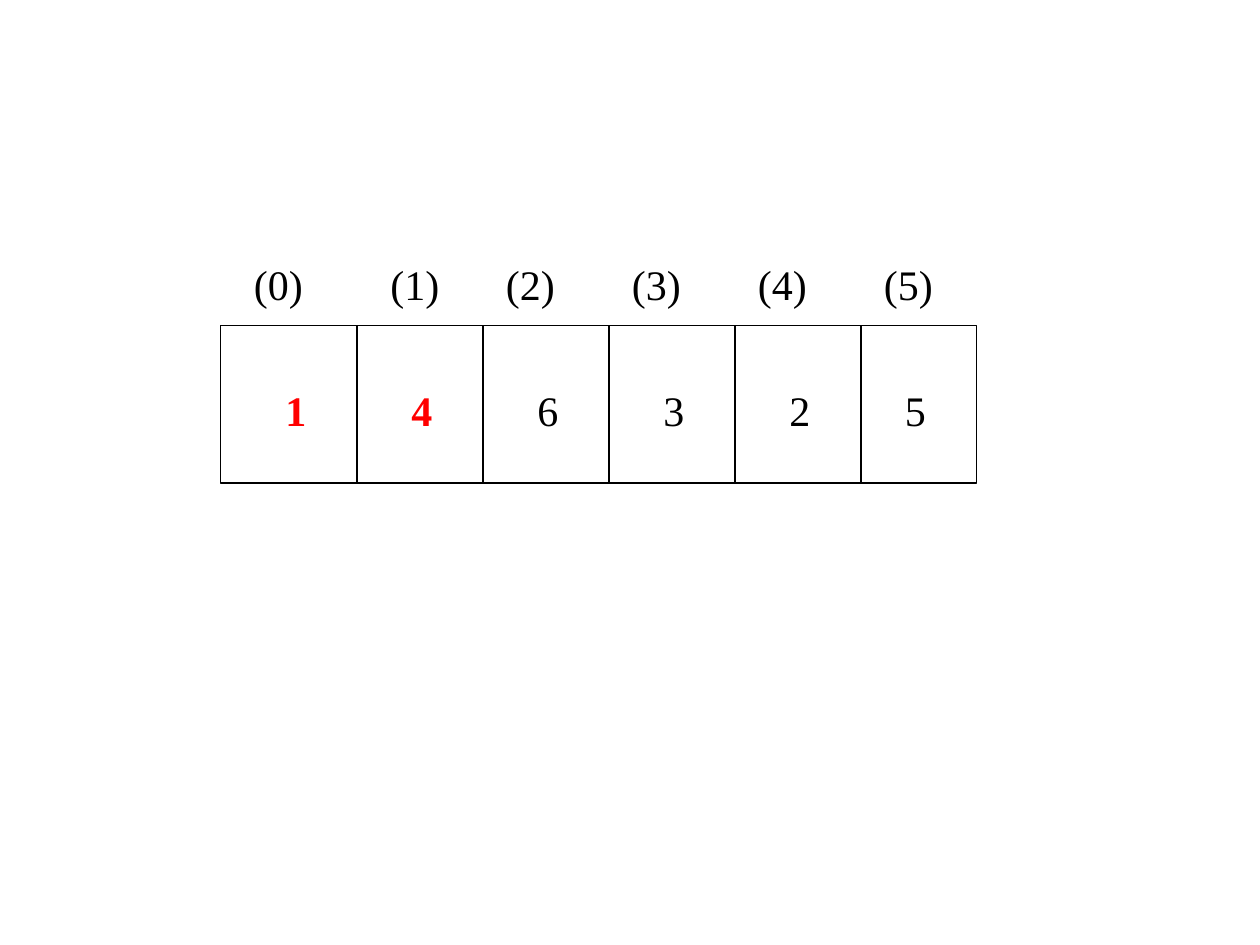
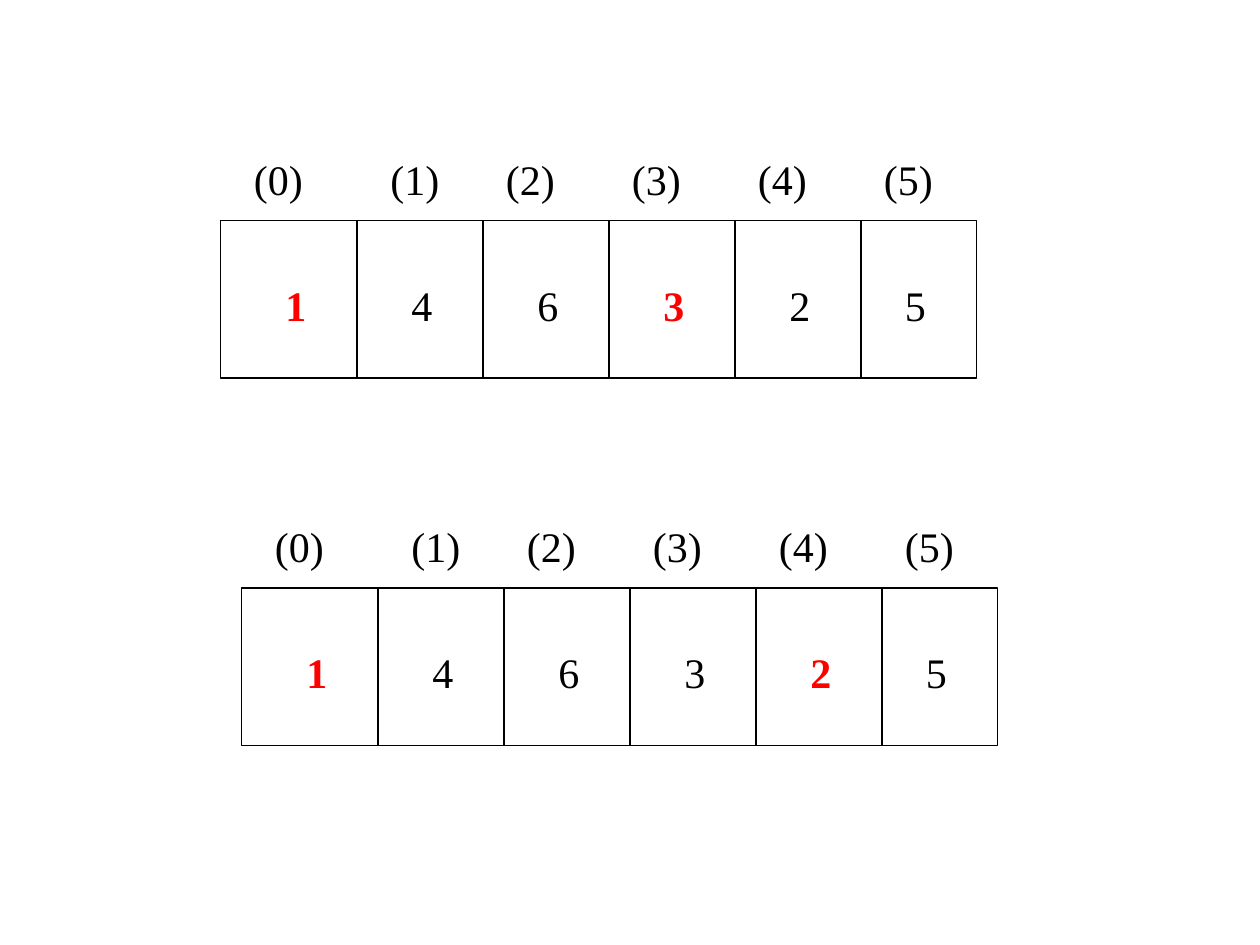
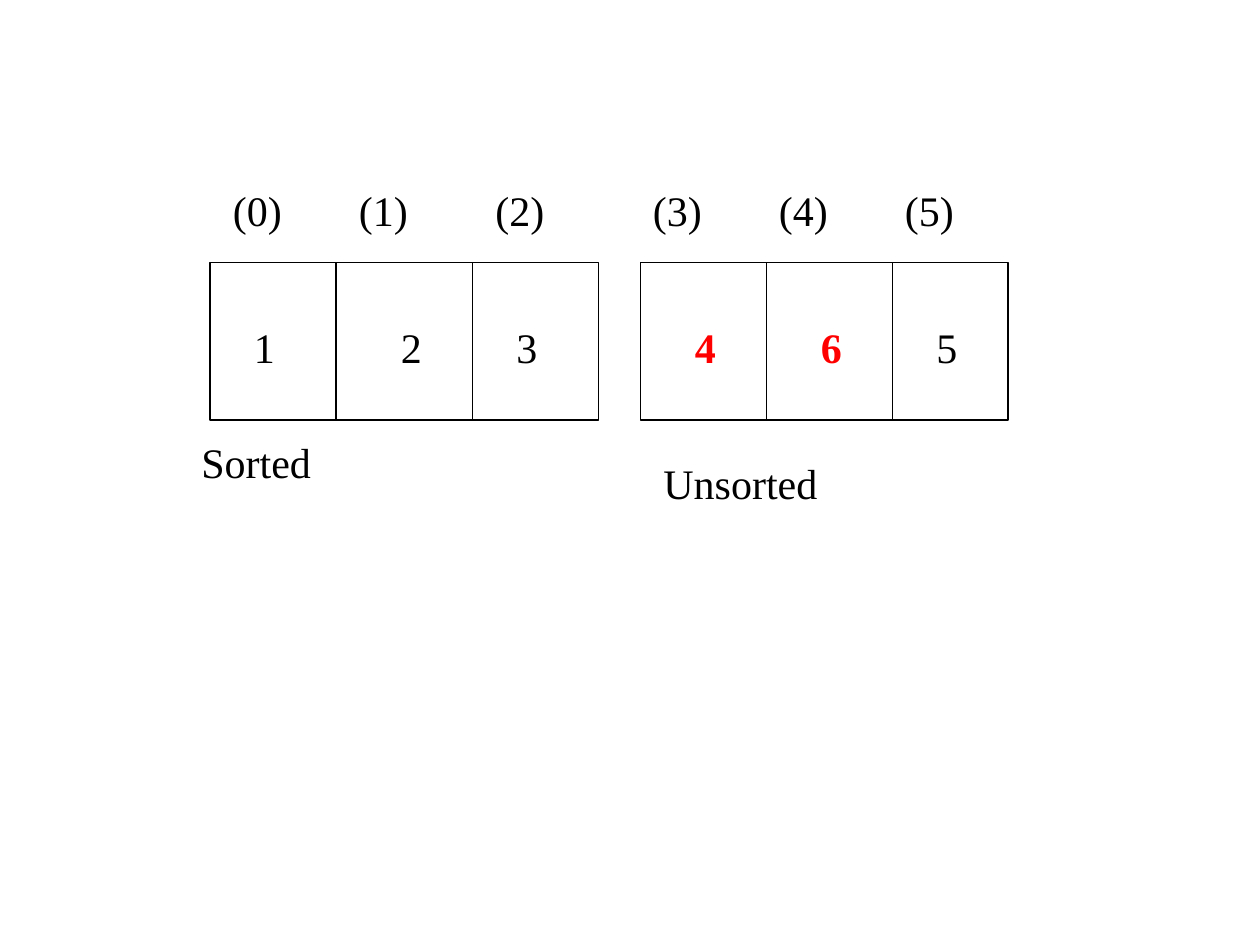
from pptx import Presentation
from pptx.dml.color import RGBColor
from pptx.enum.shapes import MSO_CONNECTOR as Connector, MSO_SHAPE as Shape
from pptx.enum.text import MSO_AUTO_SIZE as AutoSize
from pptx.oxml.ns import qn
from pptx.util import Cm, Pt

BLACK = RGBColor(0x00, 0x00, 0x00)
RED = RGBColor(0xFF, 0x00, 0x00)
FONT = "Times New Roman"
FONT_SIZE = Pt(24)
LINE_WIDTH = Pt(0.75)

STEP = Cm(2.54) // 12
CELL_HEIGHT = 15
TEXT_HEIGHT = 6
VALUE_DROP = 5
VALUE_WIDTHS = (5, 6, 6, 5, 5, 7)
INDEX_WIDTHS = (10, 8, 8, 10, 11, 8)

WHOLE = {"width": 72, "first": 0, "index_rise": 7,
         "dividers": range(13, 62, 12),
         "value_offsets": (5, 17, 29, 41, 53, 64),
         "index_offsets": (2, 15, 26, 38, 50, 62)}
SORTED = {"width": 37, "first": 0, "index_rise": 8,
          "dividers": (12, 25),
          "value_offsets": (3, 17, 28),
          "index_offsets": (1, 13, 26)}
UNSORTED = {"width": 35, "first": 3, "index_rise": 8,
            "dividers": (0, 12, 24),
            "value_offsets": (4, 16, 27),
            "index_offsets": (0, 12, 24)}


def add_text(page, text, left, top, width, highlighted=False):
    box = page.shapes.add_textbox(left * STEP, top * STEP, width * STEP, TEXT_HEIGHT * STEP)
    frame = box.text_frame
    frame.word_wrap = True
    frame.auto_size = AutoSize.SHAPE_TO_FIT_TEXT
    frame.text = text
    font = frame.paragraphs[0].runs[0].font
    font.name = FONT
    font.size = FONT_SIZE
    font.bold = highlighted
    font.color.rgb = RED if highlighted else BLACK


def add_array(page, layout, left, top, values, compared):
    outline = page.shapes.add_shape(
        Shape.RECTANGLE, left * STEP, top * STEP, layout["width"] * STEP, CELL_HEIGHT * STEP)
    outline.shadow.inherit = False
    outline.fill.background()
    outline.line.color.rgb = BLACK
    outline.line.width = LINE_WIDTH

    for offset in layout["dividers"]:
        x = (left + offset) * STEP
        divider = page.shapes.add_connector(
            Connector.STRAIGHT, x, top * STEP, x, (top + CELL_HEIGHT) * STEP)
        divider.line.color.rgb = BLACK
        divider.line.width = LINE_WIDTH
        properties = divider.element.spPr
        properties.append(properties.makeelement(qn("a:effectLst"), {}))

    cells = zip(values, layout["value_offsets"], layout["index_offsets"])
    for index, (value, value_offset, index_offset) in enumerate(cells, layout["first"]):
        add_text(page, value, left + value_offset, top + VALUE_DROP,
                 VALUE_WIDTHS[index], value in compared)
        add_text(page, f"({index})", left + index_offset, top - layout["index_rise"],
                 INDEX_WIDTHS[index])


deck = Presentation()
deck.slide_width = Cm(25.4)
deck.slide_height = Cm(19.05)
blank = deck.slide_layouts[6]

first_page = deck.slides.add_slide(blank)
add_array(first_page, WHOLE, 21, 31, "146325", "14")

second_page = deck.slides.add_slide(blank)
add_array(second_page, WHOLE, 21, 21, "146325", "13")
add_array(second_page, WHOLE, 23, 56, "146325", "12")

third_page = deck.slides.add_slide(blank)
add_array(third_page, UNSORTED, 61, 25, "465", "46")
add_array(third_page, SORTED, 20, 25, "123", "")
add_text(third_page, "Sorted", 18, 41, 14)
add_text(third_page, "Unsorted", 62, 43, 19)

deck.save("out.pptx")
